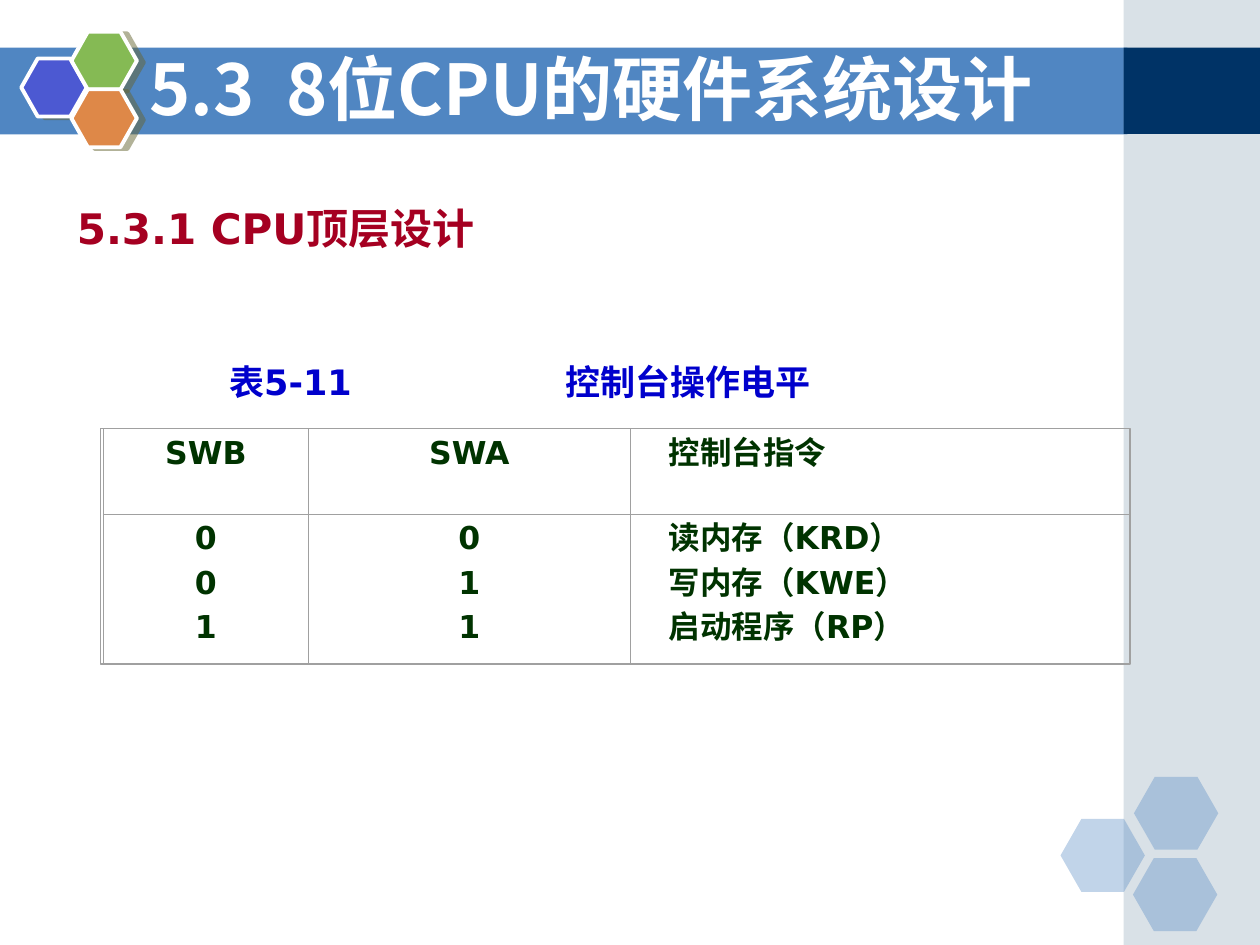
from lxml import etree
from pptx import Presentation
from pptx.dml.color import RGBColor
from pptx.enum.shapes import MSO_SHAPE
from pptx.enum.text import PP_ALIGN
from pptx.oxml import parse_xml
from pptx.oxml.ns import nsdecls, qn
from pptx.util import Cm, Pt

RECT, HEX = MSO_SHAPE.RECTANGLE, MSO_SHAPE.HEXAGON
LEFT, MID = PP_ALIGN.LEFT, PP_ALIGN.CENTER

BLUE = RGBColor(0x50, 0x86, 0xC2)
MIST = RGBColor(0xA0, 0xB5, 0xC4)
NAVY = RGBColor(0x00, 0x33, 0x66)
VIOLET = RGBColor(0x4C, 0x59, 0xD2)
LEAF = RGBColor(0x85, 0xBA, 0x54)
RUST = RGBColor(0xDE, 0x88, 0x48)
OLIVE = RGBColor(0x66, 0x66, 0x33)
WHITE = RGBColor(0xFF, 0xFF, 0xFF)
GREEN = RGBColor(0x00, 0x33, 0x00)
INK = RGBColor(0x00, 0x00, 0xCC)
RED = RGBColor(0xA5, 0x00, 0x21)
GREY = RGBColor(0xA0, 0xA0, 0xA0)


class Page:
    sans = "DejaVu Sans"
    han = "Noto Sans CJK SC"

    def __init__(self, slide):
        self.slide = slide

    def shape(self, kind, x, y, w, h, fill=None, alpha=None, line=None, width=0.75):
        item = self.slide.shapes.add_shape(kind, Cm(x), Cm(y), Cm(w), Cm(h))
        item.shadow.inherit = False
        if fill is None:
            item.fill.background()
        else:
            item.fill.solid()
            item.fill.fore_color.rgb = fill
        if alpha:
            tint = item.fill._xPr.find(".//" + qn("a:srgbClr"))
            etree.SubElement(tint, qn("a:alpha"), val=str(alpha * 1000))
        if line is None:
            item.line.fill.background()
        else:
            item.line.color.rgb = line
            item.line.width = Pt(width)
        return item

    def badge(self, x, y, fill):
        """White-edged hexagon with a hard shadow to its right."""
        item = self.shape(HEX, x, y, 1.32, 1.17, fill, line=WHITE, width=2.25)
        item.adjustments[0] = 0.283
        glow = item._element.spPr.find(qn("a:effectLst"))
        glow.append(parse_xml(
            f'<a:outerShdw {nsdecls("a")} blurRad="0" dist="{Pt(4.1)}" '
            f'dir="{14 * 60000}" algn="ctr" rotWithShape="0">'
            f'<a:srgbClr val="{OLIVE}"><a:alpha val="50000"/></a:srgbClr>'
            '</a:outerShdw>'))

    def ghost(self, x, y):
        item = self.shape(HEX, x, y, 1.7, 1.47, BLUE, 35)
        item.adjustments[0] = 0.286

    def run(self, para, text, face, size, color):
        run = para.add_run()
        run.text = text
        font = run.font
        font.name, font.size, font.bold = face, Pt(size), True
        font.color.rgb = color
        etree.SubElement(font._element, qn("a:ea"), typeface=face)

    def text(self, x, y, w, h, size, color, runs, tab=None):
        box = self.slide.shapes.add_textbox(Cm(x), Cm(y), Cm(w), Cm(h))
        box.text_frame.word_wrap = True
        para = box.text_frame.paragraphs[0]
        if tab:
            stops = etree.SubElement(para._p.get_or_add_pPr(), qn("a:tabLst"))
            etree.SubElement(stops, qn("a:tab"), pos=str(Cm(tab)), algn="l")
        for words, face in runs:
            self.run(para, words, face, size, color)

    def cell(self, cell, lines, align):
        cell.fill.background()
        cell.margin_left = cell.margin_right = Cm(0.78)
        for i, line in enumerate(lines):
            frame = cell.text_frame
            para = frame.add_paragraph() if i else frame.paragraphs[0]
            para.alignment = align
            if i:
                para.space_before = Pt(4.5)
            self.run(para, line, self.sans, 18, GREEN)
        props = cell._tc.get_or_add_tcPr()
        for i, side in enumerate(("lnL", "lnR", "lnT", "lnB")):
            props.insert(i, parse_xml(
                f'<a:{side} {nsdecls("a")} w="{Pt(0.25)}"><a:solidFill>'
                f'<a:srgbClr val="{GREY}"/></a:solidFill></a:{side}>'))

    def table(self, x, y, cols, rows, data):
        grid = self.slide.shapes.add_table(
            len(rows), len(cols), Cm(x), Cm(y), Cm(sum(cols)), Cm(sum(rows))).table
        grid.first_row = grid.horz_banding = False
        for col, w in zip(grid.columns, cols):
            col.width = Cm(w)
        for row, h, line in zip(grid.rows, rows, data):
            row.height = Cm(h)
            for cell, lines, align in zip(row.cells, line, (MID, MID, LEFT)):
                self.cell(cell, lines, align)


def main():
    deck = Presentation()
    deck.slide_width, deck.slide_height = Cm(25.4), Cm(19.05)
    page = Page(deck.slides.add_slide(deck.slide_layouts[6]))
    sans, han = page.sans, page.han

    page.shape(RECT, 0, 0.96, 22.73, 1.75, BLUE)
    page.shape(RECT, 22.65, 0, 2.75, 19.05, MIST, 40)
    page.shape(RECT, 22.65, 0.96, 2.75, 1.74, NAVY)
    for x, y in ((21.38, 16.51), (22.86, 15.66), (22.84, 17.3)):
        page.ghost(x, y)
    for x, y, fill in ((0.43, 1.18, VIOLET), (1.44, 0.64, LEAF), (1.44, 1.8, RUST)):
        page.badge(x, y, fill)

    page.table(2.08, 8.64, (4.14, 6.48, 10.06), (1.73, 3.02), (
        (("SWB",), ("SWA",), ("控制台指令",)),
        (("0", "0", "1"), ("0", "1", "1"),
         ("读内存（KRD）", "写内存（KWE）", "启动程序（RP）")),
    ))
    page.shape(RECT, 2.03, 8.64, 20.75, 4.75, line=GREY)

    page.text(4.37, 7.14, 12.9, 1.12, 20, INK,
              (("表", han), ("5-11\t", sans), ("控制台操作电平", han)), tab=6.78)
    page.text(2.77, 0.79, 21.44, 1.96, 40, WHITE,
              (("5.3  8位CPU的硬件系统设计", han),))
    page.text(1.3, 3.96, 9.2, 1.27, 24, RED,
              (("5.3.1 CPU", sans), ("顶层设计", han)))
    deck.save("out.pptx")


if __name__ == "__main__":
    main()
